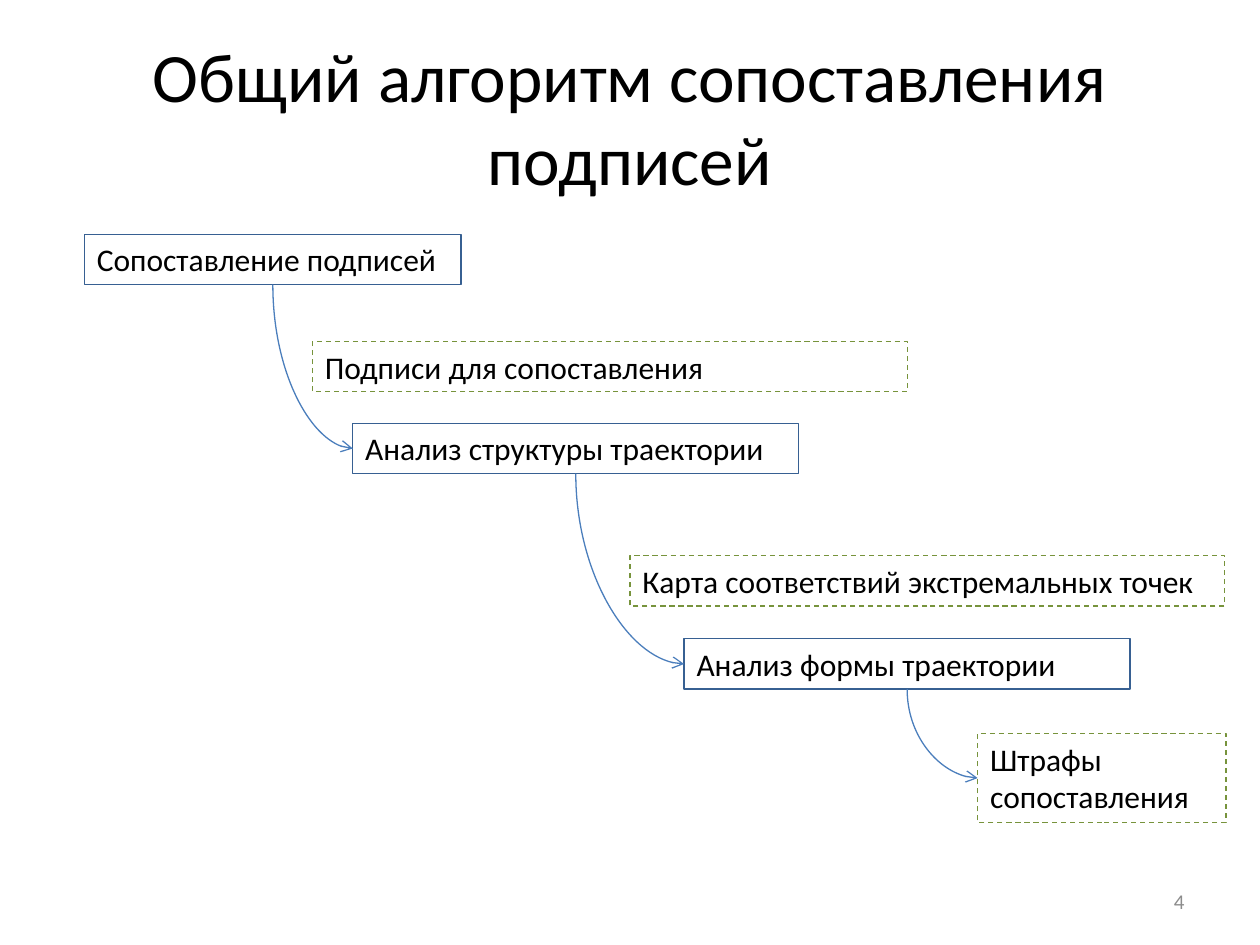
"""Build a slide with the cascade of steps in signature matching."""
from dataclasses import dataclass

from pptx import Presentation
from pptx.dml.color import RGBColor
from pptx.enum.dml import MSO_LINE
from pptx.enum.shapes import MSO_CONNECTOR, MSO_SHAPE
from pptx.enum.text import MSO_ANCHOR as Anchor, PP_ALIGN as Align
from pptx.oxml.ns import qn
from pptx.oxml.xmlchemy import OxmlElement
from pptx.shapes.autoshape import Shape
from pptx.util import Inches, Pt

FONT = "Calibri"
COLORS = {
    "text": "000000",
    "number": "8C8C8C",
    "step": "376092",
    "data": "77933C",
    "arrow": "4B7EBC",
}
LINE_WIDTH = Pt(0.75)
BOTTOM_SITE, LEFT_SITE = 2, 1


@dataclass(frozen=True)
class Box:
    text: str
    left: float
    top: float
    width: float
    height: float = 0.4
    kind: str = "step"


STEPS = [
    Box("Сопоставление подписей", 0.67, 1.86, 2.99),
    Box("Анализ структуры траектории", 2.8, 3.36, 3.54),
    Box("Анализ формы траектории", 5.43, 5.07, 3.54),
]
DATA = [
    Box("Подписи для сопоставления", 2.48, 2.71, 4.72, kind="data"),
    Box("Карта соответствий экстремальных точек", 5, 4.41, 4.72, kind="data"),
]
RESULT = Box("Штрафы\nсопоставления", 7.76, 5.82, 1.97, 0.71, kind="data")


def color(name: str) -> RGBColor:
    return RGBColor.from_string(COLORS[name])


def write(shape: Shape, text: str, *, size: float = 18, ink: str = "text",
          align: Align = Align.LEFT, anchor: Anchor = Anchor.TOP) -> None:
    frame = shape.text_frame
    frame.word_wrap = True
    frame.vertical_anchor = anchor
    paragraph = frame.paragraphs[0]
    paragraph.text = text
    paragraph.alignment = align
    for run in paragraph.runs:
        run.font.name = FONT
        run.font.size = Pt(size)
        run.font.color.rgb = color(ink)


def add_box(slide, box: Box) -> Shape:
    shape = slide.shapes.add_shape(
        MSO_SHAPE.RECTANGLE, Inches(box.left), Inches(box.top),
        Inches(box.width), Inches(box.height))
    shape.shadow.inherit = False
    shape.fill.background()
    shape.line.color.rgb = color(box.kind)
    shape.line.width = LINE_WIDTH
    if box.kind == "data":
        shape.line.dash_style = MSO_LINE.DASH
    write(shape, box.text)
    return shape


def add_curve(slide, source: Shape, target: Shape) -> None:
    start_x, start_y = source.left + source.width // 2, source.top + source.height
    end_x, end_y = target.left, target.top + target.height // 2
    run, drop = end_x - start_x, end_y - start_y
    connector = slide.shapes.add_connector(
        MSO_CONNECTOR.CURVE, start_x, start_y, end_x, end_y)
    connector.begin_connect(source, BOTTOM_SITE)
    connector.end_connect(target, LEFT_SITE)
    connector.left = (start_x + end_x - drop) // 2
    connector.top = (start_y + end_y - run) // 2
    connector.width, connector.height = drop, run
    connector.line.color.rgb = color("arrow")
    connector.line.width = LINE_WIDTH

    properties = connector._element.spPr
    transform = properties.find(qn("a:xfrm"))
    transform.set("rot", "16200000")
    transform.set("flipH", "1")
    properties.find(qn("a:prstGeom")).set("prst", "curvedConnector2")
    arrowhead = OxmlElement("a:tailEnd")
    arrowhead.set("type", "arrow")
    properties.find(qn("a:ln")).append(arrowhead)
    properties.append(OxmlElement("a:effectLst"))


def main() -> None:
    presentation = Presentation()
    presentation.slide_width, presentation.slide_height = Inches(10), Inches(7.5)
    slide = presentation.slides.add_slide(presentation.slide_layouts[6])

    title = slide.shapes.add_textbox(Inches(0.5), Inches(0.3), Inches(9), Inches(1.25))
    write(title, "Общий алгоритм сопоставления подписей", size=39.6,
          align=Align.CENTER, anchor=Anchor.MIDDLE)
    number = slide.shapes.add_textbox(
        Inches(7.17), Inches(6.95), Inches(2.33), Inches(0.4))
    write(number, "4", size=12, ink="number", align=Align.RIGHT, anchor=Anchor.MIDDLE)

    steps = [add_box(slide, box) for box in STEPS]
    for box in DATA:
        add_box(slide, box)
    chain = [*steps, add_box(slide, RESULT)]
    for source, target in zip(chain, chain[1:]):
        add_curve(slide, source, target)

    presentation.save("out.pptx")


main()
